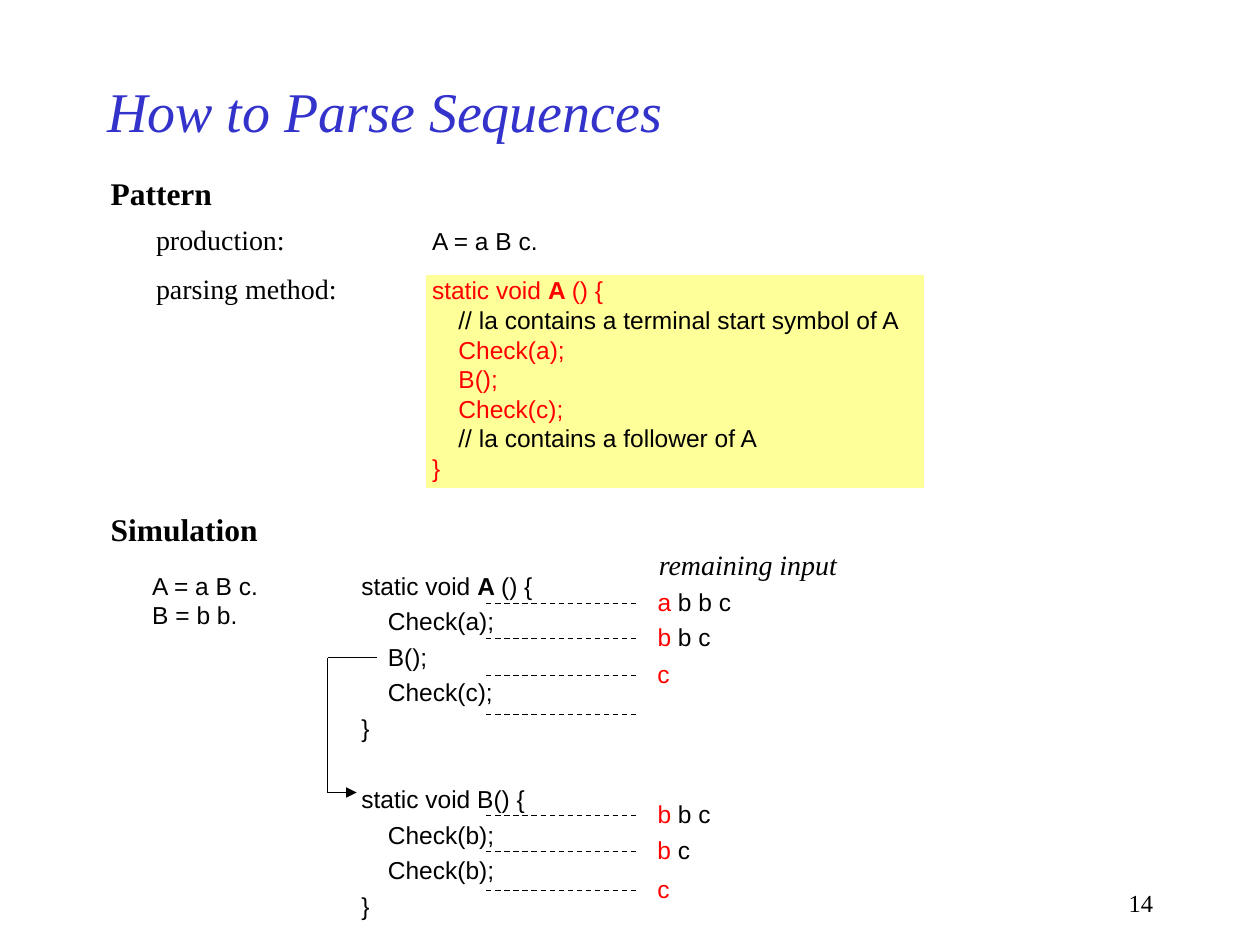
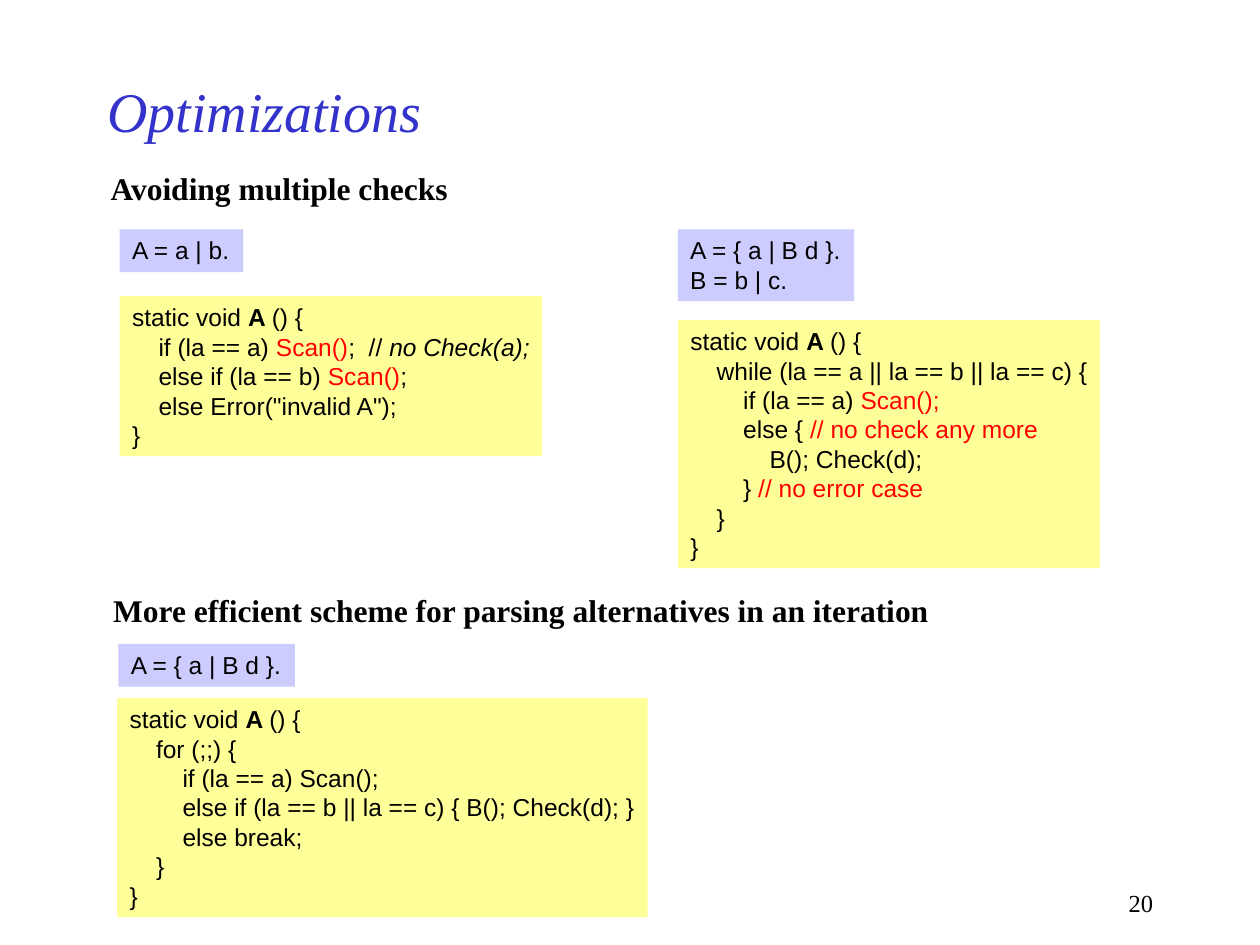
"""Build two compiler-course slides on parsing sequences and optimizing a parser."""
from dataclasses import dataclass, replace
from typing import NamedTuple, Optional

from lxml import etree
from pptx import Presentation
from pptx import util as u
from pptx.dml.color import RGBColor
from pptx.enum import dml, shapes, text
from pptx.oxml import ns
from pptx.util import Inches


@dataclass(frozen=True)
class Style:
    font: str
    size: float
    color: str
    bold: bool = False
    italic: bool = False


@dataclass(frozen=True)
class Theme:
    yellow: str = "FFFF99"
    lilac: str = "CCCCFF"
    black: str = "000000"
    line_width: float = 0.75
    title: Style = Style("Times New Roman", 32, "3333CC", italic=True)
    heading: Style = Style("Times New Roman", 18, "000000", bold=True)
    label: Style = Style("Times New Roman", 16, "000000")
    caption: Style = Style("Times New Roman", 16, "000000", italic=True)
    number: Style = Style("Times New Roman", 14, "000000")
    code: Style = Style("Arial", 14, "000000")
    red: Style = Style("Arial", 14, "FF0000")


THEME = Theme()
CODE_TABS = (0.21, 0.42, 0.63)
RIGHT_INSET = 0.02


class Run(NamedTuple):
    text: str
    style: Style = THEME.code


class Line(NamedTuple):
    runs: tuple[Run, ...]
    before: float = 0


class Box(NamedTuple):
    left: float
    top: float
    width: float
    height: float
    lines: tuple[Line, ...]
    fill: Optional[str] = None
    tabs: tuple[float, ...] = ()


class Segment(NamedTuple):
    start: tuple[float, float]
    end: tuple[float, float]
    dashed: bool = False
    arrow: bool = False


class InputRow(NamedTuple):
    top: float
    head: str = ""
    rest: str = ""


def line(*runs: Run, before: float = 0) -> Line:
    return Line(runs, before)


def red(words: str) -> Run:
    return Run(words, THEME.red)


def code(*rows: str, before: float = 0) -> tuple[Line, ...]:
    return tuple(line(Run(row), before=before) for row in rows)


def method_head(style: Style = THEME.code) -> tuple[Run, ...]:
    return (Run("static void ", style), Run("A ", replace(style, bold=True)), Run("() {", style))


def heading(left: float, top: float, width: float, words: str) -> Box:
    return Box(left, top, width, 0.4, (line(Run(words, THEME.heading)),))


def add_run(paragraph, item: Run) -> None:
    run = paragraph.add_run()
    run.text = item.text
    font = run.font
    font.name, font.size = item.style.font, u.Pt(item.style.size)
    font.bold, font.italic = item.style.bold, item.style.italic
    font.color.rgb = RGBColor.from_string(item.style.color)


def set_tabs(paragraph, stops: tuple[float, ...]) -> None:
    tab_list = etree.SubElement(paragraph._p.get_or_add_pPr(), ns.qn("a:tabLst"))
    for stop in stops:
        etree.SubElement(tab_list, ns.qn("a:tab"), pos=str(int(Inches(stop))), algn="l")


def add_box(slide, box: Box) -> None:
    place = [Inches(value) for value in box[:4]]
    if box.fill:
        shape = slide.shapes.add_shape(shapes.MSO_SHAPE.RECTANGLE, *place)
        shape.shadow.inherit = False
        shape.fill.solid()
        shape.fill.fore_color.rgb = RGBColor.from_string(box.fill)
        shape.line.fill.background()
    else:
        shape = slide.shapes.add_textbox(*place)
    frame = shape.text_frame
    frame.word_wrap = False
    frame.auto_size = text.MSO_AUTO_SIZE.NONE
    frame.margin_right = Inches(RIGHT_INSET)
    frame.vertical_anchor = text.MSO_ANCHOR.TOP
    for index, item in enumerate(box.lines):
        paragraph = frame.add_paragraph() if index else frame.paragraphs[0]
        paragraph.alignment = text.PP_ALIGN.LEFT
        paragraph.space_before = u.Pt(item.before)
        if box.tabs:
            set_tabs(paragraph, box.tabs)
        for run in item.runs:
            add_run(paragraph, run)


def add_segment(slide, segment: Segment) -> None:
    ends = [Inches(value) for value in segment.start + segment.end]
    connector = slide.shapes.add_connector(shapes.MSO_CONNECTOR.STRAIGHT, *ends)
    connector.line.color.rgb = RGBColor.from_string(THEME.black)
    connector.line.width = u.Pt(THEME.line_width)
    if segment.dashed:
        connector.line.dash_style = dml.MSO_LINE.DASH
    if segment.arrow:
        etree.SubElement(connector.line._get_or_add_ln(), ns.qn("a:tailEnd"), type="triangle")
    etree.SubElement(connector._element.spPr, ns.qn("a:effectLst"))


def add_input_row(slide, row: InputRow) -> None:
    add_segment(slide, Segment((3.86, row.top), (5.07, row.top), dashed=True))
    if row.head:
        width = 0.3 + 0.16 * row.rest.count(" ")
        runs = line(red(row.head), Run(row.rest)) if row.rest else line(red(row.head))
        add_box(slide, Box(5.12, row.top - 0.18, width, 0.34, (runs,)))


def add_titled_slide(presentation, title: str, number: int):
    slide = presentation.slides.add_slide(presentation.slide_layouts[5])
    shape = slide.shapes.title
    shape.left, shape.top = Inches(0.75), Inches(0.5)
    shape.width, shape.height = Inches(7.5), Inches(0.75)
    frame = shape.text_frame
    frame.auto_size = text.MSO_AUTO_SIZE.NONE
    frame.vertical_anchor = text.MSO_ANCHOR.MIDDLE
    frame.paragraphs[0].alignment = text.PP_ALIGN.LEFT
    add_run(frame.paragraphs[0], Run(title, THEME.title))

    footer = slide.shapes.add_textbox(Inches(7.17), Inches(7), Inches(2.08), Inches(0.33))
    footer.text_frame.word_wrap = True
    paragraph = footer.text_frame.paragraphs[0]
    paragraph.alignment = text.PP_ALIGN.RIGHT
    add_run(paragraph, Run(str(number), THEME.number))
    return slide


def build_sequences(presentation) -> None:
    slide = add_titled_slide(presentation, "How to Parse Sequences", 14)
    panel = slide.shapes.add_shape(
        shapes.MSO_SHAPE.RECTANGLE, Inches(3.39), Inches(2.19), Inches(3.94), Inches(1.68))
    panel.shadow.inherit = False
    panel.fill.solid()
    panel.fill.fore_color.rgb = RGBColor.from_string(THEME.yellow)
    panel.line.color.rgb = RGBColor.from_string(THEME.yellow)
    panel.line.width = u.Pt(THEME.line_width)

    pattern = (
        line(Run("production:\t", THEME.label), Run("A = a B c.")),
        line(Run("parsing method:\t", THEME.label), *method_head(THEME.red), before=8.8),
        line(Run("\t\t// la contains a terminal start symbol of A")),
        *(line(red(f"\t\t{call};")) for call in ("Check(a)", "B()", "Check(c)")),
        line(Run("\t\t// la contains a follower of A")),
        line(red("\t}")),
    )
    gap = 3.5
    simulation = (
        line(*method_head()),
        *code("\tCheck(a);", "\tB();", "\tCheck(c);", "}", before=gap),
        *code("static void B() {", before=24),
        *code("\tCheck(b);", "\tCheck(b);", "}", before=gap),
    )
    for box in (
        heading(0.78, 1.33, 1, "Pattern"),
        Box(1.14, 1.72, 6.11, 2.16, pattern, tabs=(2.19, 2.4, 2.61)),
        heading(0.78, 4, 1.36, "Simulation"),
        Box(1.11, 4.48, 1.05, 0.57, code("A = a B c.", "B = b b.")),
        Box(2.77, 4.48, 1.56, 2.87, simulation, tabs=CODE_TABS),
        Box(5.13, 4.3, 1.62, 0.37, (line(Run("remaining input", THEME.caption)),)),
    ):
        add_box(slide, box)

    for row in (
        InputRow(4.79, "a", " b b c"),
        InputRow(5.07, "b", " b c"),
        InputRow(5.36, "c"),
        InputRow(5.67),
        InputRow(6.47, "b", " b c"),
        InputRow(6.76, "b", " c"),
        InputRow(7.07, "c"),
    ):
        add_input_row(slide, row)

    call_route = ((2.99, 5.22), (2.6, 5.22), (2.6, 6.29), (2.83, 6.29))
    for start, end in zip(call_route, call_route[1:]):
        add_segment(slide, Segment(start, end, arrow=end == call_route[-1]))


def build_optimizations(presentation) -> None:
    slide = add_titled_slide(presentation, "Optimizations", 20)
    alternatives = (
        line(*method_head()),
        line(Run("\tif (la == a) "), red("Scan()"), Run(";  // "),
             Run("no Check(a);", replace(THEME.code, italic=True))),
        line(Run("\telse if (la == b) "), red("Scan()"), Run(";")),
        *code('\telse Error("invalid A");', "}"),
    )
    iteration = (
        line(*method_head()),
        *code("\twhile (la == a || la == b || la == c) {"),
        line(Run("\t\tif (la == a) "), red("Scan();")),
        line(Run("\t\telse { "), red("// no check any more")),
        *code("\t\t\tB(); Check(d);"),
        line(Run("\t\t} "), red("// no error case")),
        *code("\t}", "}"),
    )
    efficient = (
        line(*method_head()),
        *code("\tfor (;;) {", "\t\tif (la == a) Scan();",
              "\t\telse if (la == b || la == c) { B(); Check(d); }",
              "\t\telse break;", "\t}", "}"),
    )
    for box in (
        heading(0.78, 1.29, 2.89, "Avoiding multiple checks"),
        Box(0.95, 1.82, 0.98, 0.34, code("A = a | b."), THEME.lilac),
        Box(0.95, 2.35, 3.35, 1.27, alternatives, THEME.yellow, CODE_TABS),
        Box(5.38, 1.82, 1.4, 0.57, code("A = { a | B d }.", "B = b | c."), THEME.lilac),
        Box(5.38, 2.54, 3.35, 1.97, iteration, THEME.yellow, CODE_TABS),
        heading(0.8, 4.64, 6.68,
                "More efficient scheme for parsing alternatives in an iteration"),
        Box(0.93, 5.54, 4.21, 1.74, efficient, THEME.yellow, CODE_TABS),
        Box(0.94, 5.11, 1.4, 0.34, code("A = { a | B d }."), THEME.lilac),
    ):
        add_box(slide, box)


def main() -> None:
    presentation = Presentation()
    presentation.slide_width, presentation.slide_height = Inches(10), Inches(7.5)
    build_sequences(presentation)
    build_optimizations(presentation)
    presentation.save("out.pptx")


if __name__ == "__main__":
    main()
